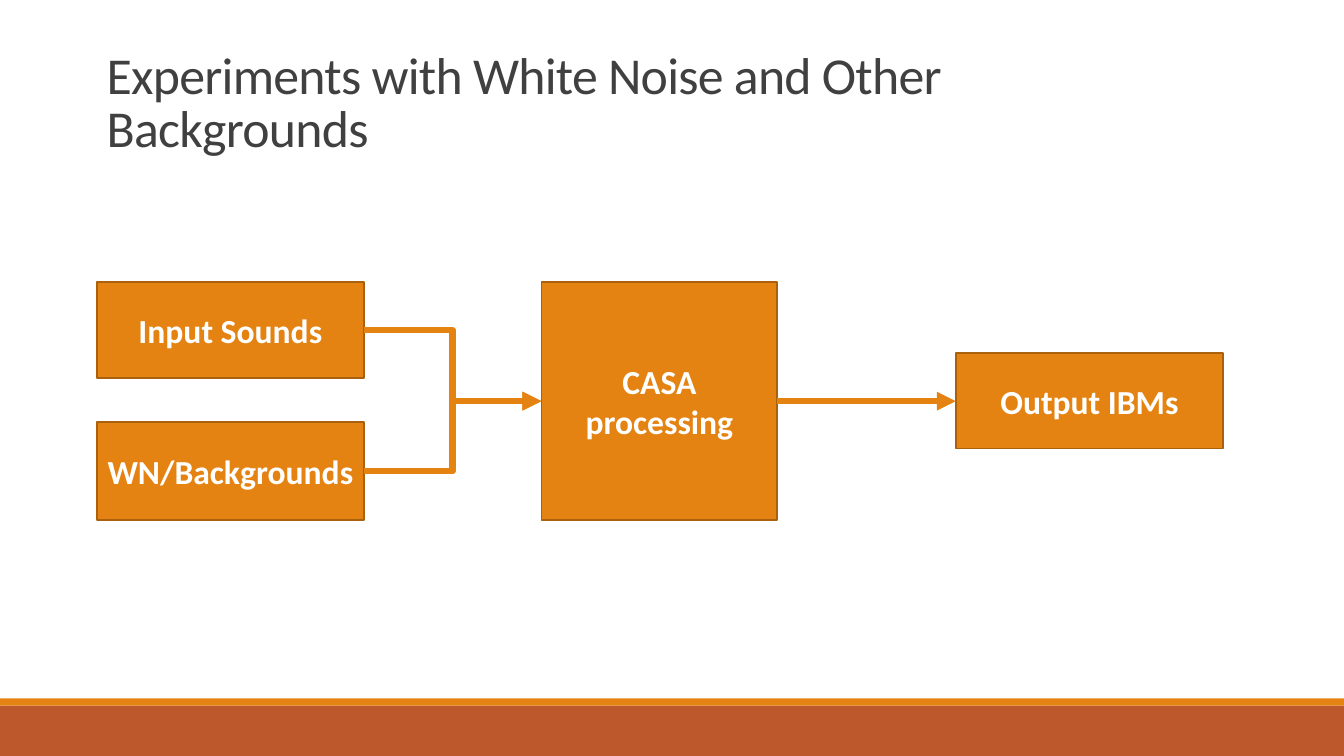
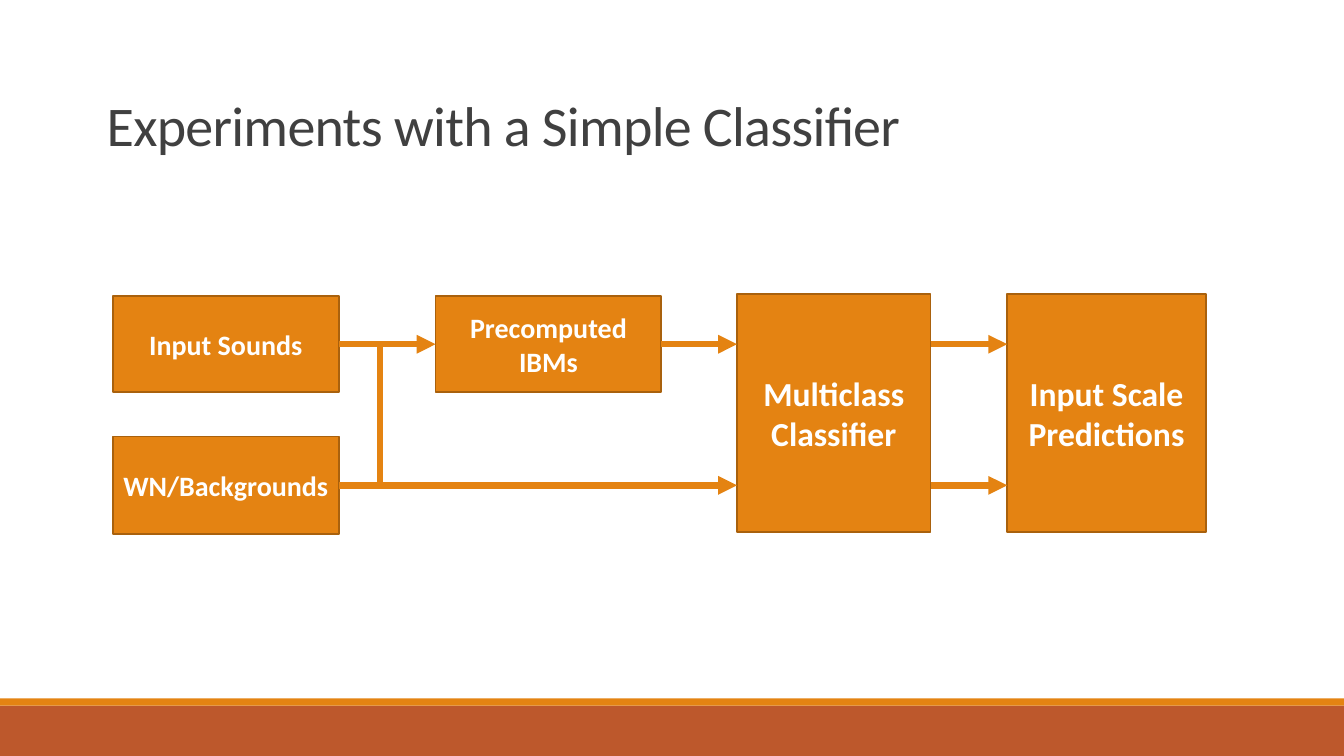
from dataclasses import dataclass

from lxml import etree
from pptx import Presentation
from pptx.dml.color import RGBColor
from pptx.enum.shapes import MSO_CONNECTOR, MSO_SHAPE
from pptx.enum.text import MSO_ANCHOR, PP_ALIGN
from pptx.oxml.ns import qn
from pptx.slide import Slide
from pptx.util import Inches, Pt

# Shared look
ORANGE = RGBColor(0xE4, 0x83, 0x12)
RUST = RGBColor(0xBD, 0x58, 0x2C)
BROWN = RGBColor(0xA9, 0x61, 0x0D)
WHITE = RGBColor(0xFF, 0xFF, 0xFF)
GRAY = RGBColor(0x40, 0x40, 0x40)
FONT = "Calibri"
RECT = MSO_SHAPE.RECTANGLE
LINE = MSO_CONNECTOR.STRAIGHT
BENT = MSO_CONNECTOR.ELBOW
MIDDLE, BOTTOM = MSO_ANCHOR.MIDDLE, MSO_ANCHOR.BOTTOM
CENTER, LEFT = PP_ALIGN.CENTER, PP_ALIGN.LEFT
WIDTH, HEIGHT = 13.33, 7.5

BOX_FRAME = {"word_wrap": True, "vertical_anchor": MIDDLE,
             "margin_left": Inches(0.08), "margin_right": Inches(0.08)}
# The wide right margin keeps the long title on two lines
TITLE_FRAME = {"word_wrap": True, "vertical_anchor": BOTTOM,
               "margin_right": Inches(0.3)}
BOX_FONT = {"name": FONT, "bold": True}
TITLE_FONT = {"name": FONT, "bold": False}


@dataclass(frozen=True)
class Box:
    text: str
    left: float
    top: float
    width: float
    height: float
    size: int = 24

    @property
    def right(self) -> float:
        return self.left + self.width

    @property
    def mid(self) -> float:
        return self.top + self.height / 2


@dataclass(frozen=True)
class Link:
    x1: float
    y1: float
    x2: float
    y2: float
    kind: MSO_CONNECTOR = LINE
    arrow: bool = True


@dataclass(frozen=True)
class Page:
    title: str
    size: int
    boxes: list[Box]
    links: list[Link]


def apply(target: object, values: dict) -> None:
    for name, value in values.items():
        setattr(target, name, value)


def write(frame, text: str, size: int, color: RGBColor, align: PP_ALIGN,
          layout: dict, font: dict):
    """Fill a text frame with one paragraph and return that paragraph."""
    apply(frame, layout)
    para = frame.paragraphs[0]
    para.alignment = align
    run = para.add_run()
    run.text = text
    apply(run.font, {**font, "size": Pt(size)})
    run.font.color.rgb = color
    return para


def add_rect(slide: Slide, left: float, top: float, width: float,
             height: float, fill: RGBColor):
    rect = slide.shapes.add_shape(
        RECT, *map(Inches, (left, top, width, height)))
    rect.shadow.inherit = False
    rect.fill.solid()
    rect.fill.fore_color.rgb = fill
    rect.line.fill.background()
    return rect


def add_bands(slide: Slide) -> None:
    add_rect(slide, 0, 7, WIDTH, 0.5, RUST)
    add_rect(slide, 0, 6.93, WIDTH, 0.07, ORANGE)


def add_title(slide: Slide, text: str, size: int) -> None:
    area = slide.shapes.add_textbox(*map(Inches, (0.96, 0.76, 11.16, 0.86)))
    para = write(area.text_frame, text, size, GRAY, LEFT,
                 TITLE_FRAME, TITLE_FONT)
    para.line_spacing = 0.85
    para.runs[0]._r.get_or_add_rPr().set("spc", "-50")


def add_box(slide: Slide, box: Box) -> None:
    rect = add_rect(slide, box.left, box.top, box.width, box.height, ORANGE)
    rect.line.color.rgb = BROWN
    rect.line.width = Pt(1.25)
    write(rect.text_frame, box.text, box.size, WHITE, CENTER,
          BOX_FRAME, BOX_FONT)


def add_link(slide: Slide, link: Link) -> None:
    wire = slide.shapes.add_connector(
        link.kind, *map(Inches, (link.x1, link.y1, link.x2, link.y2)))
    wire.line.color.rgb = ORANGE
    wire.line.width = Pt(4.5)
    if link.arrow:
        tail = etree.SubElement(wire.line._get_or_add_ln(), qn("a:tailEnd"))
        tail.set("type", "triangle")
    etree.SubElement(wire._element.spPr, qn("a:effectLst"))


def noise_page() -> Page:
    sound = Box("Input Sounds", 0.96, 2.8, 2.65, 0.95)
    noise = Box("WN/Backgrounds", 0.96, 4.19, 2.65, 0.97)
    casa = Box("CASA processing", 5.37, 2.8, 2.34, 2.36)
    output = Box("Output IBMs", 9.48, 3.5, 2.65, 0.95)
    links = [Link(box.right, box.mid, casa.left, casa.mid, BENT)
             for box in (sound, noise)]
    links.append(Link(casa.right, casa.mid, output.left, casa.mid))
    return Page("Experiments with White Noise and Other Backgrounds", 37,
                [sound, noise, casa, output], links)


def class_page() -> Page:
    sound = Box("Input Sounds", 1.12, 2.94, 2.24, 0.95, 20)
    noise = Box("WN/Backgrounds", 1.12, 4.33, 2.24, 0.97, 20)
    masks = Box("Precomputed IBMs", 4.32, 2.94, 2.24, 0.95, 20)
    model = Box("Multiclass Classifier", 7.31, 2.92, 1.92, 2.36)
    scale = Box("Input Scale Predictions", 9.99, 2.92, 1.97, 2.36)
    high, low = sound.mid, noise.mid
    flows = [(sound, masks, high), (noise, model, low), (masks, model, high),
             (model, scale, high), (model, scale, low)]
    links = [Link(start.right, y, end.left, y) for start, end, y in flows]
    links.append(Link(3.77, high, 3.77, low, arrow=False))
    return Page("Experiments with a Simple Classifier", 40,
                [sound, noise, masks, model, scale], links)


def main() -> None:
    deck = Presentation()
    deck.slide_width, deck.slide_height = Inches(WIDTH), Inches(HEIGHT)
    blank = deck.slide_layouts[6]
    for page in (noise_page(), class_page()):
        slide = deck.slides.add_slide(blank)
        add_bands(slide)
        add_title(slide, page.title, page.size)
        for box in page.boxes:
            add_box(slide, box)
        for link in page.links:
            add_link(slide, link)
    deck.save("out.pptx")


if __name__ == "__main__":
    main()
